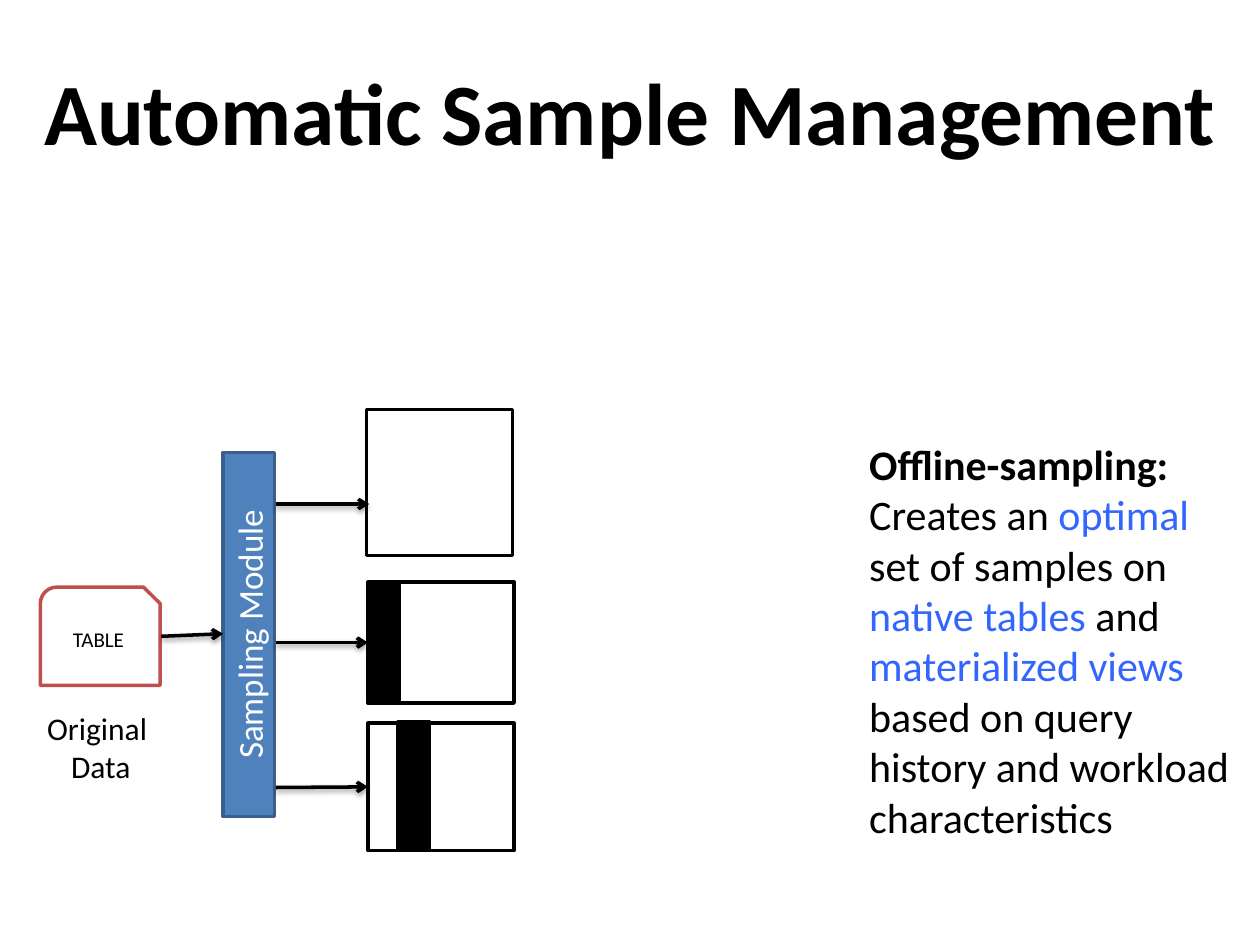
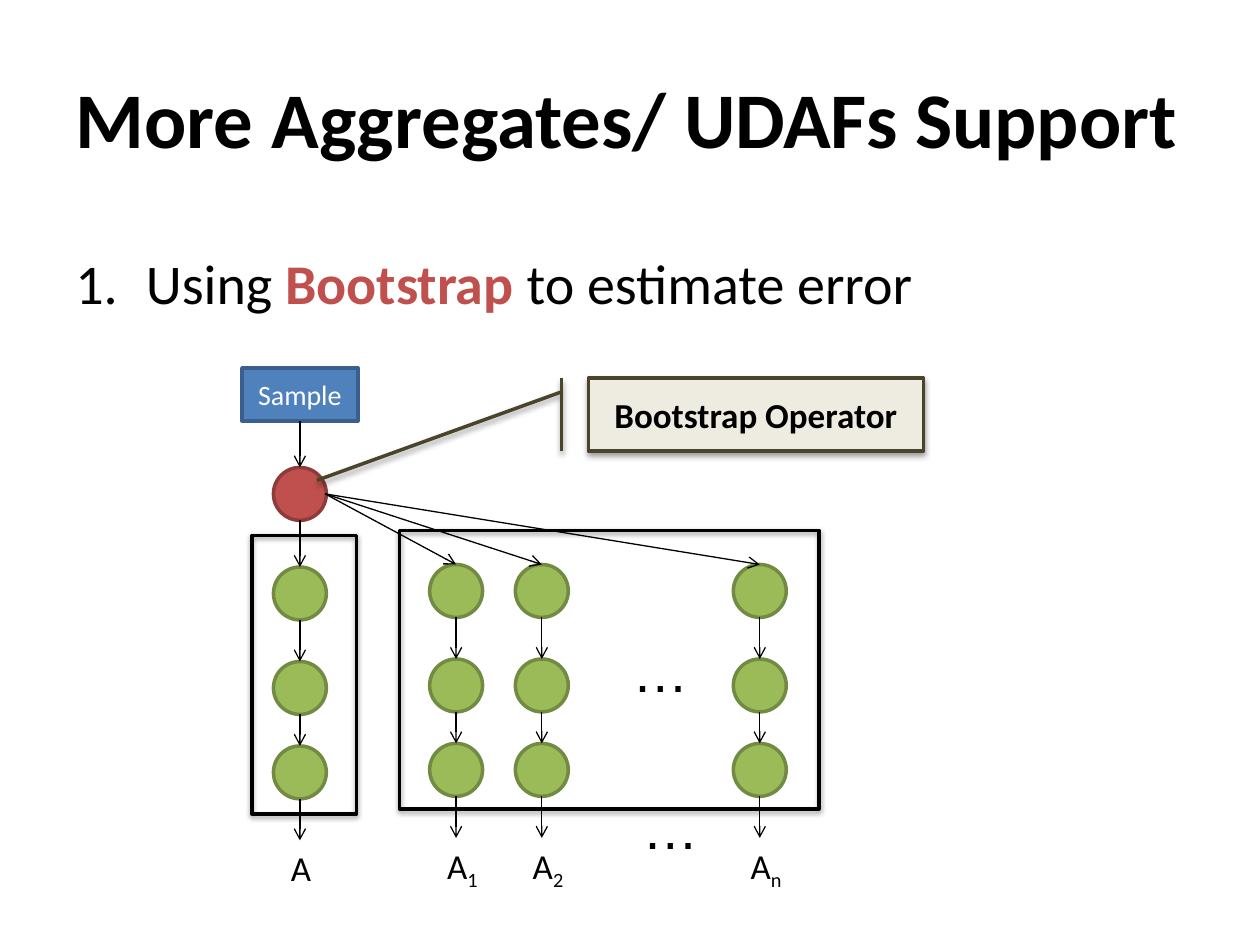
from lxml.etree import SubElement
from pptx import Presentation
from pptx.dml.color import RGBColor
from pptx.enum.shapes import MSO_CONNECTOR, MSO_SHAPE
from pptx.enum.text import MSO_ANCHOR, MSO_AUTO_SIZE, PP_ALIGN
from pptx.oxml.ns import qn
from pptx.util import Inches, Pt

BLACK, WHITE = "000000", "FFFFFF"
BLUE, BLUE_EDGE = "4F81BD", "3A5F8C"
RED, RED_EDGE = "C0504D", "8E3B39"
GREEN, GREEN_EDGE = "9BBB59", "738A42"
CREAM, OLIVE = "EEECE1", "4A452A"
HIGHLIGHT = "3366FF"
STRAIGHT = MSO_CONNECTOR.STRAIGHT


def style(shape, fill=None, line=BLACK, width=2, shadow=False, arrow=False):
    """Set fill, outline, arrowhead and shadow of a shape or connector."""
    if fill:
        shape.fill.solid()
        shape.fill.fore_color.rgb = RGBColor.from_string(fill)
    elif hasattr(shape, "fill"):
        shape.fill.background()
    shape.line.color.rgb = RGBColor.from_string(line)
    shape.line.width = Pt(width)
    properties = shape._element.spPr
    if arrow:
        SubElement(properties.find(qn("a:ln")), qn("a:tailEnd"), type="arrow")
    effects = SubElement(properties, qn("a:effectLst"))
    if shadow:
        outer = SubElement(effects, qn("a:outerShdw"), blurRad="40000", dist="20000",
                           dir="5400000", rotWithShape="0")
        color = SubElement(outer, qn("a:srgbClr"), val=BLACK)
        SubElement(color, qn("a:alpha"), val="38000")


def write(shape, paragraphs, size, align=PP_ALIGN.LEFT, anchor=MSO_ANCHOR.TOP,
          wrap=True, **base):
    """Fill a shape with paragraphs, each a list of (text, format) runs."""
    frame = shape.text_frame
    frame.auto_size = MSO_AUTO_SIZE.NONE
    frame.word_wrap = wrap
    frame.vertical_anchor = anchor
    for index, runs in enumerate(paragraphs):
        paragraph = frame.add_paragraph() if index else frame.paragraphs[0]
        paragraph.alignment = align
        for text, changes in runs:
            run = paragraph.add_run()
            run.text = text
            values = {"name": "Calibri", "size": Pt(size), "color": BLACK, **base, **changes}
            run.font.color.rgb = RGBColor.from_string(values.pop("color"))
            if "baseline" in values:
                run.font._element.set("baseline", values.pop("baseline"))
            for name, value in values.items():
                setattr(run.font, name, value)


presentation = Presentation()
presentation.slide_width, presentation.slide_height = Inches(10), Inches(7.5)
title_only = presentation.slide_layouts[5]
centred = {"align": PP_ALIGN.CENTER, "anchor": MSO_ANCHOR.MIDDLE}

# Both slides and their titles
slides = []
for text, size, left, top, width in [
    ("Automatic Sample Management", 50, 0.25, 0.25, 9.67),
    ("More Aggregates/ UDAFs Support", 45, 0.5, 0.3, 9.33),
]:
    slide = presentation.slides.add_slide(title_only)
    title = slide.shapes.title
    title.left, title.top = Inches(left), Inches(top)
    title.width, title.height = Inches(width), Inches(1.25)
    write(title, [[(text, {})]], size, anchor=MSO_ANCHOR.MIDDLE, bold=True)
    slides.append(slide)

# Slide 1: source table and sampling module
shapes = slides[0].shapes
table_shape = shapes.add_shape(MSO_SHAPE.SNIP_ROUND_RECTANGLE, Inches(0.32), Inches(4.66),
                               Inches(0.95), Inches(0.78))
style(table_shape, WHITE, RED)
write(table_shape, [[("TABLE", {})]], 12, **centred)

module = shapes.add_shape(MSO_SHAPE.RECTANGLE, Inches(0.53), Inches(4.83),
                          Inches(2.89), Inches(0.41))
module.rotation = 270
style(module, BLUE, BLUE_EDGE)
write(module, [[("Sampling Module", {})]], 20, color=WHITE, **centred)

caption = shapes.add_textbox(Inches(0.3), Inches(5.58), Inches(1), Inches(0.71))
write(caption, [[("Original ", {})], [("Data", {})]], 18, PP_ALIGN.CENTER, wrap=False)

into_module = shapes.add_connector(STRAIGHT, Inches(1.28), Inches(5.05),
                                   Inches(1.77), Inches(5.03))
style(into_module, shadow=True, arrow=True)

# Samples: left, top, height, sampled column (left, top, height), arrow height, joined
for left, top, height, column, arrow_y, joined in [
    (2.91, 3.25, 1.16, None, 4, False),
    (2.92, 4.62, 0.96, (2.92, 4.64, 0.94), 5.1, True),
    (2.92, 5.74, 1.01, (3.16, 5.73, 1.02), 6.25, True),
]:
    sample = shapes.add_shape(MSO_SHAPE.RECTANGLE, Inches(left), Inches(top),
                              Inches(1.16), Inches(height))
    style(sample, WHITE)
    if column:
        column_left, column_top, column_height = column
        bar = shapes.add_shape(MSO_SHAPE.RECTANGLE, Inches(column_left), Inches(column_top),
                               Inches(0.25), Inches(column_height))
        style(bar, BLACK)
    arrow = shapes.add_connector(STRAIGHT, Inches(2.19), Inches(arrow_y),
                                 Inches(2.93), Inches(arrow_y))
    if joined:
        arrow.end_connect(sample, 1)
    style(arrow, shadow=True, arrow=True)

# Explanation
blue_text = {"color": HIGHLIGHT}
explanation = shapes.add_textbox(Inches(6.8), Inches(3.43), Inches(3.2), Inches(3.32))
write(explanation, [[
    ("Offline-sampling: ", {"bold": True}),
    ("Creates an ", {}),
    ("optimal", blue_text),
    (" set of samples on ", {}),
    ("native tables", blue_text),
    (" and ", {}),
    ("materialized views", blue_text),
    (" based on query history and workload characteristics", {}),
]], 24)

# Slide 2: numbered statement
shapes = slides[1].shapes
statement = shapes.add_textbox(Inches(0.5), Inches(1.92), Inches(9), Inches(0.75))
numbering = statement.text_frame.paragraphs[0]._p.get_or_add_pPr()
numbering.set("marL", str(Inches(0.56)))
numbering.set("indent", str(Inches(-0.56)))
SubElement(numbering, qn("a:buAutoNum"), type="arabicPeriod")
write(statement, [[
    ("Using ", {}),
    ("Bootstrap ", {"color": RED, "bold": True}),
    ("to estimate error", {}),
]], 32)

# Sample and bootstrap operator node
NODE = 0.42
sample = shapes.add_shape(MSO_SHAPE.RECTANGLE, Inches(1.92), Inches(2.92),
                          Inches(0.92), Inches(0.42))
style(sample, BLUE, BLUE_EDGE)
write(sample, [[("Sample", {})]], 16, color=WHITE, **centred)
operator = shapes.add_shape(MSO_SHAPE.OVAL, Inches(2.17), Inches(3.71),
                            Inches(NODE), Inches(NODE))
style(operator, RED, RED_EDGE)
feed = shapes.add_connector(STRAIGHT, Inches(2.38), Inches(3.34), Inches(2.38), Inches(3.71))
feed.begin_connect(sample, 2)
feed.end_connect(operator, 0)
style(feed, width=0.75, arrow=True)

# Query plans: centre, top, start of the incoming arrow, subscript, label width
for centre, top, start, subscript, label_width in [
    (2.38, 4.5, (2.38, 4.13), "", 0.37),
    (3.62, 4.48, (2.58, 3.92), "1", 0.46),
    (4.3, 4.48, (2.58, 3.92), "2", 0.46),
    (6.03, 4.48, (2.58, 3.92), "n", 0.46),
]:
    for offset in (0, 0.75, 1.42):
        node_top = top + offset
        node = shapes.add_shape(MSO_SHAPE.OVAL, Inches(centre - NODE / 2), Inches(node_top),
                                Inches(NODE), Inches(NODE))
        style(node, GREEN, GREEN_EDGE)
        arrow = shapes.add_connector(STRAIGHT, Inches(start[0]), Inches(start[1]),
                                     Inches(centre), Inches(node_top))
        arrow.end_connect(node, 0)
        style(arrow, width=0.75, arrow=True)
        start = (centre, node_top + NODE)
    result_top = top + 2.17
    arrow = shapes.add_connector(STRAIGHT, Inches(centre), Inches(start[1]),
                                 Inches(centre), Inches(result_top))
    style(arrow, width=0.75, arrow=True)
    label = shapes.add_textbox(Inches(centre - 0.17), Inches(result_top),
                               Inches(label_width), Inches(0.44))
    runs = [("A", {})]
    if subscript:
        runs.append((subscript, {"baseline": "-25000"}))
    write(label, [runs], 20, wrap=False)

# Ellipses for the plans left out
for left, top in [(4.92, 5), (5, 6.25)]:
    dots = shapes.add_textbox(Inches(left), Inches(top), Inches(0.65), Inches(0.64))
    write(dots, [[("…", {})]], 32, wrap=False, name="Arial")

# Frames around the plans
for left, top, width in [(3.17, 4.21, 3.33), (2, 4.25, 0.83)]:
    frame = shapes.add_shape(MSO_SHAPE.RECTANGLE, Inches(left), Inches(top),
                             Inches(width), Inches(2.21))
    style(frame, shadow=True)

# Callout naming the operator
callout = shapes.add_shape(MSO_SHAPE.LINE_CALLOUT_1_BORDER_AND_ACCENT_BAR, Inches(4.67),
                           Inches(3), Inches(2.66), Inches(0.58))
for index, value in enumerate((0.19, -0.08, 1.4, -0.81)):
    callout.adjustments[index] = value
style(callout, CREAM, OLIVE, shadow=True)
write(callout, [[("Bootstrap Operator", {})]], 20, bold=True, **centred)

presentation.save("out.pptx")
